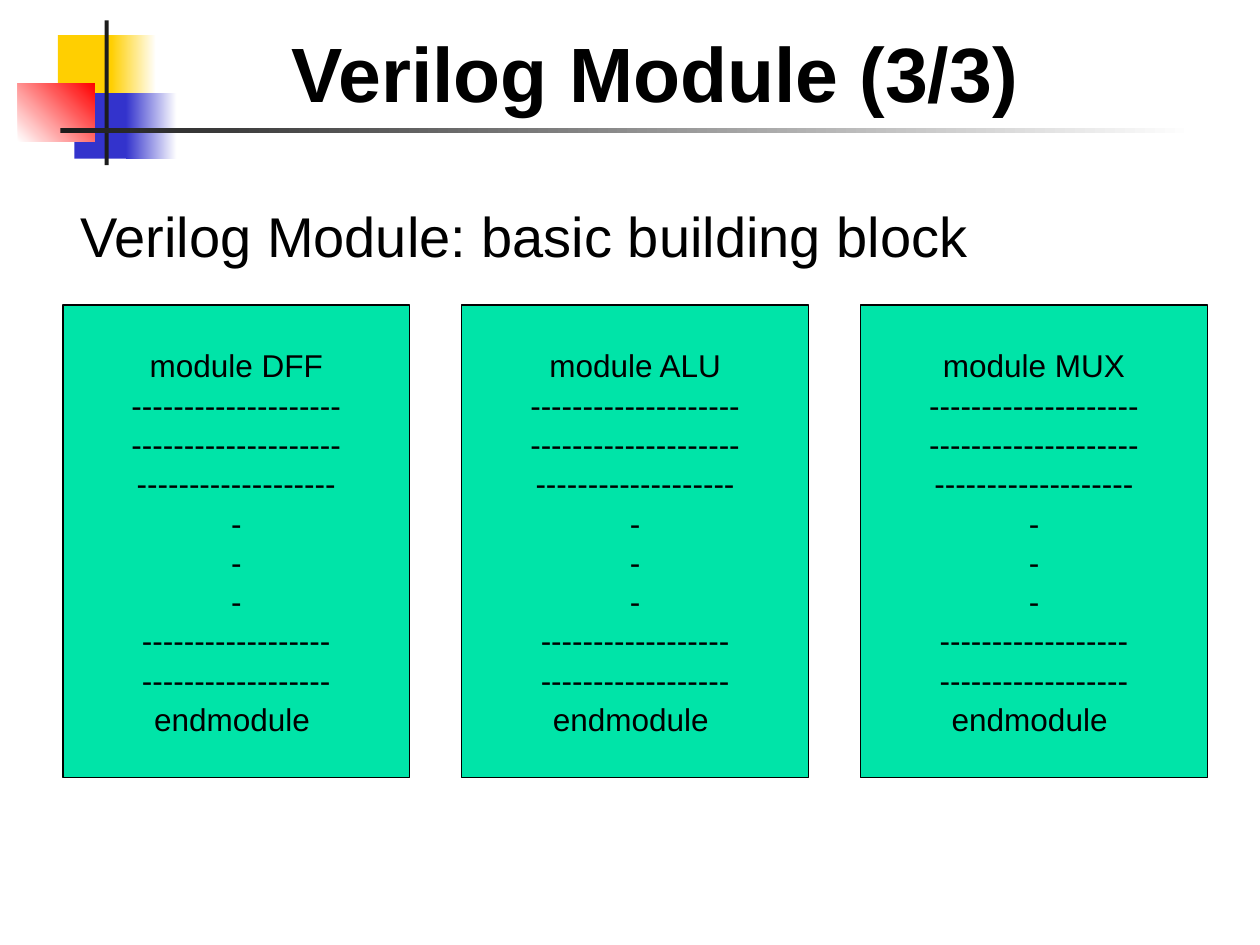
from pptx import Presentation
from pptx.dml.color import RGBColor
from pptx.enum.shapes import MSO_SHAPE
from pptx.enum.text import MSO_ANCHOR, PP_ALIGN
from pptx.util import Cm, Pt

BLACK = RGBColor(0x00, 0x00, 0x00)
WHITE = RGBColor(0xFF, 0xFF, 0xFF)
YELLOW = RGBColor(0xFF, 0xCF, 0x01)
BLUE = RGBColor(0x33, 0x33, 0xCC)
RED = RGBColor(0xFF, 0x00, 0x00)
DARK = RGBColor(0x1C, 0x1C, 0x1C)
GREEN = RGBColor(0x00, 0xE4, 0xA8)
FONT = "Arial"

# Content
TITLE = "Verilog Module (3/3)"
SUBTITLE = "Verilog Module: basic building block"
MODULES = ["DFF", "ALU", "MUX"]
DASH_COUNTS = [20, 20, 19, 1, 1, 1, 18, 18]

# Decoration, back to front: left, top, width, height (cm), colours, angle
DECORATION = [
    (1.17, 0.71, 1.22, 1.32, [YELLOW], 0),
    (2.24, 0.71, 0.91, 1.32, [YELLOW, WHITE], 0),
    (1.5, 1.88, 1.17, 1.32, [BLUE], 0),
    (2.54, 1.88, 1.02, 1.32, [BLUE, WHITE], 0),
    (0.36, 1.68, 1.55, 1.17, [WHITE, RED], 45),
    (2.11, 0.41, 0.08, 2.92, [DARK], 0),
    (1.22, 2.59, 22.86, 0.1, [DARK, WHITE], 0),
]

# Module boxes (cm)
BOX_LEFT, BOX_TOP, BOX_W, BOX_H, BOX_PITCH = 1.27, 6.15, 6.99, 9.53, 8.04

prs = Presentation()
prs.slide_width, prs.slide_height = Cm(25.4), Cm(19.05)
s = prs.slides.add_slide(prs.slide_layouts[6])


def add_rect(left, top, width, height, colours, angle=0):
    sp = s.shapes.add_shape(MSO_SHAPE.RECTANGLE, Cm(left), Cm(top), Cm(width), Cm(height))
    sp.shadow.inherit = False
    sp.line.fill.background()
    if len(colours) == 1:
        sp.fill.solid()
        sp.fill.fore_color.rgb = colours[0]
    else:
        sp.fill.gradient()
        sp.fill.gradient_angle = angle
        for stop, colour in zip(sp.fill.gradient_stops, colours):
            stop.color.rgb = colour
    return sp


def write(sp, text, size, align, anchor, bold=False, spacing=1.0):
    tf = sp.text_frame
    tf.text = text
    tf.vertical_anchor = anchor
    for p in tf.paragraphs:
        p.alignment = align
        p.line_spacing = spacing
        for r in p.runs:
            r.font.name, r.font.size, r.font.bold = FONT, Pt(size), bold
            r.font.color.rgb = BLACK
    return tf


# Corner squares and rules
for part in DECORATION:
    add_rect(*part)

# Title and subtitle
title = s.shapes.add_textbox(Cm(2.29), Cm(-0.28), Cm(21.84), Cm(2.79))
write(title, TITLE, 44, PP_ALIGN.CENTER, MSO_ANCHOR.BOTTOM, bold=True).word_wrap = True
subtitle = s.shapes.add_textbox(Cm(1.37), Cm(3.93), Cm(23.2), Cm(1.6))
write(subtitle, SUBTITLE, 32, PP_ALIGN.LEFT, MSO_ANCHOR.TOP).word_wrap = True

# Module boxes
for i, name in enumerate(MODULES):
    box = add_rect(BOX_LEFT + i * BOX_PITCH, BOX_TOP, BOX_W, BOX_H, [GREEN])
    box.line.color.rgb = BLACK
    box.line.width = Pt(0.75)
    lines = [f"module {name}", *("-" * n for n in DASH_COUNTS), "endmodule "]
    tf = write(box, "\n".join(lines), 18, PP_ALIGN.CENTER, MSO_ANCHOR.MIDDLE, spacing=1.04)
    tf.word_wrap = False

prs.save("out.pptx")
